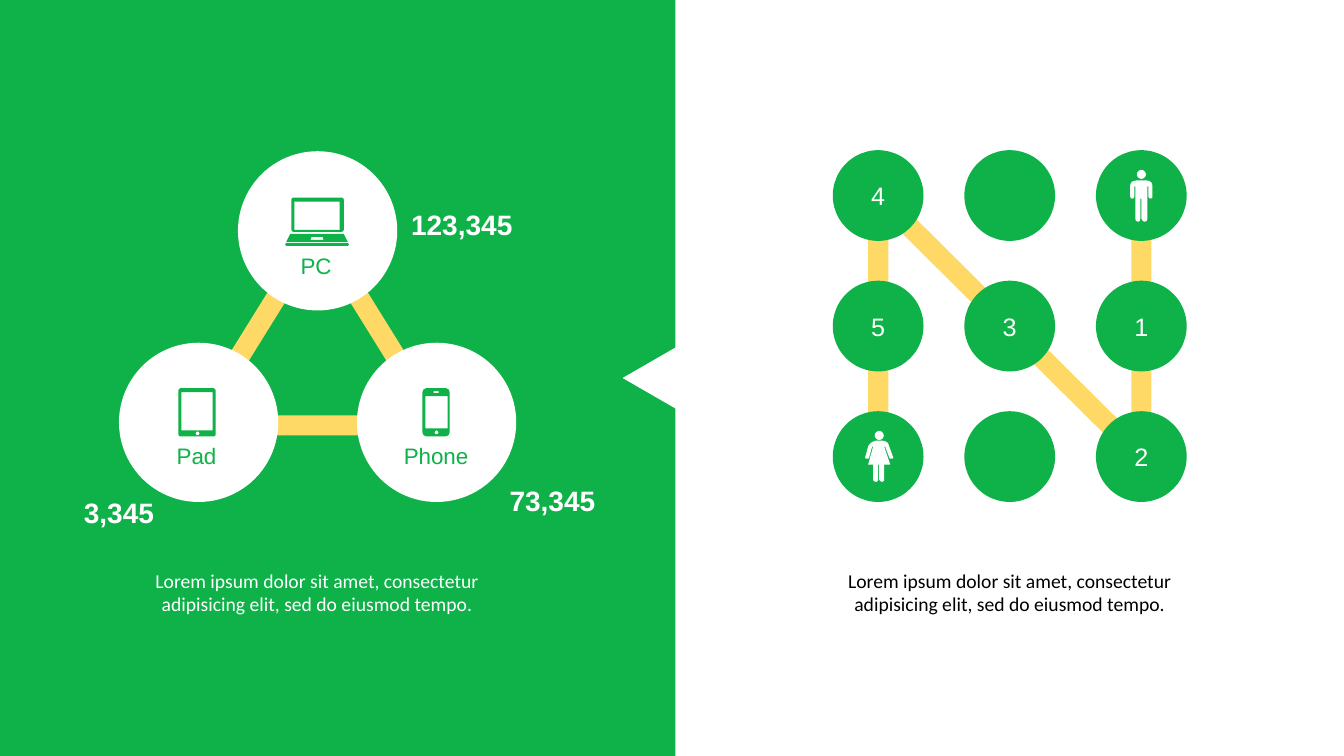
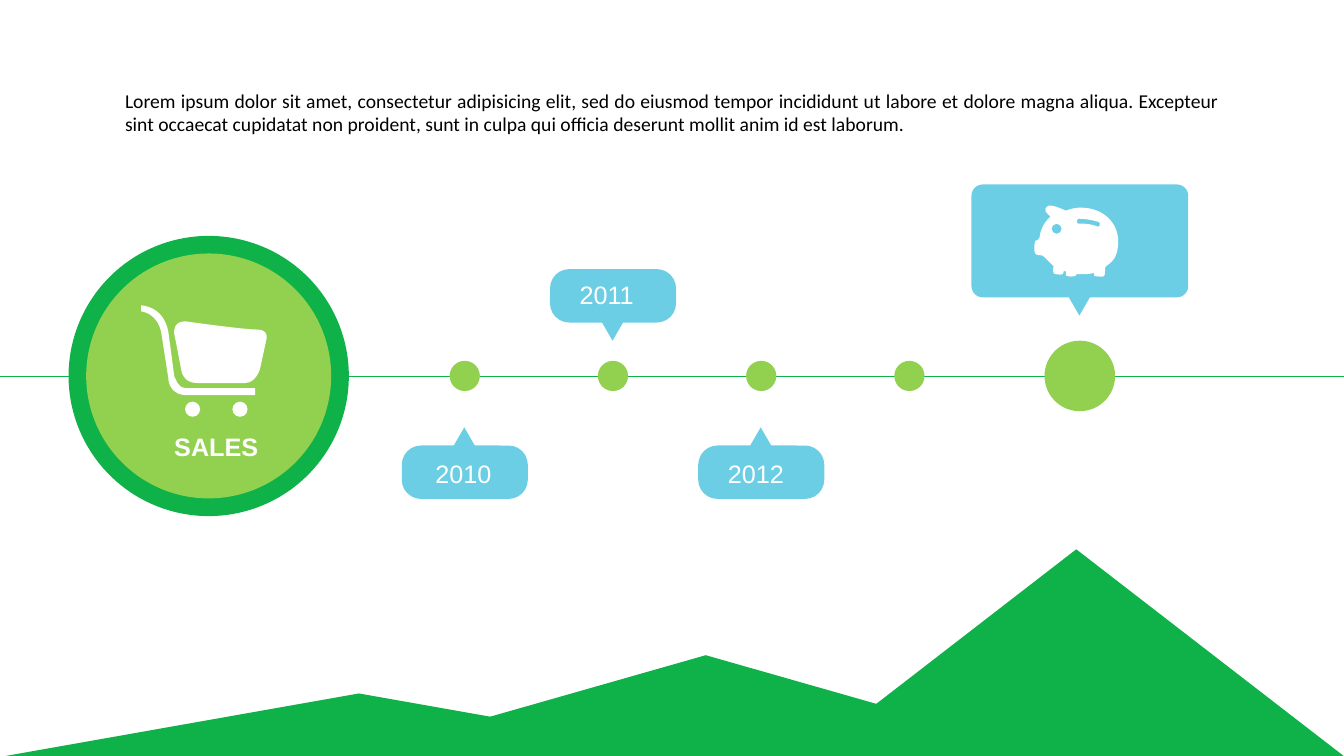
from itertools import product
from math import atan2, degrees, hypot

from lxml import etree
from pptx import Presentation
from pptx.dml.color import RGBColor
from pptx.enum.shapes import MSO_CONNECTOR, MSO_SHAPE as Preset
from pptx.enum.text import MSO_ANCHOR as Anchor, MSO_AUTO_SIZE as AutoSize, PP_ALIGN as Align
from pptx.oxml.ns import qn
from pptx.util import Inches, Pt

COLORS = {
    "green": "0EB248",
    "lime": "92D050",
    "yellow": "FFD966",
    "sky": "6CCEE5",
    "white": "FFFFFF",
    "black": "000000",
}
WIDTH, HEIGHT = 13.33, 7.5

# Outlines in inches: a pair is a corner, six numbers are a cubic curve.
MAN = [
    (11.43, 1.84), (11.43, 1.79, 11.37, 1.79, 11.37, 1.79), (11.27, 1.79),
    (11.21, 1.79, 11.21, 1.84, 11.21, 1.84), (11.21, 1.95),
    (11.21, 1.97, 11.22, 1.97, 11.23, 1.97), (11.24, 1.97, 11.25, 1.97, 11.25, 1.95),
    (11.25, 1.85), (11.26, 1.85), (11.26, 2.17),
    (11.26, 2.19, 11.27, 2.2, 11.29, 2.2), (11.3, 2.2, 11.31, 2.19, 11.31, 2.17),
    (11.31, 1.97), (11.32, 1.97), (11.32, 2.17),
    (11.33, 2.19, 11.34, 2.2, 11.35, 2.2), (11.37, 2.2, 11.38, 2.19, 11.38, 2.17),
    (11.38, 1.85), (11.39, 1.85), (11.39, 1.95),
    (11.39, 1.96, 11.4, 1.97, 11.41, 1.97), (11.43, 1.97, 11.43, 1.96, 11.43, 1.95),
]
WOMAN = [
    (8.82, 4.43), (8.82, 4.37, 8.74, 4.37, 8.74, 4.37), (8.69, 4.37),
    (8.63, 4.38, 8.61, 4.43, 8.61, 4.43), (8.58, 4.54),
    (8.58, 4.55, 8.59, 4.55, 8.59, 4.55), (8.61, 4.55, 8.62, 4.55, 8.62, 4.54),
    (8.65, 4.43), (8.66, 4.43), (8.61, 4.61), (8.66, 4.61), (8.66, 4.76),
    (8.66, 4.77, 8.67, 4.78, 8.69, 4.78), (8.7, 4.78, 8.71, 4.77, 8.71, 4.76),
    (8.71, 4.61), (8.72, 4.61), (8.72, 4.76),
    (8.72, 4.77, 8.74, 4.78, 8.75, 4.78), (8.76, 4.78, 8.77, 4.77, 8.77, 4.76),
    (8.77, 4.61), (8.83, 4.61), (8.77, 4.43), (8.78, 4.43), (8.82, 4.54),
    (8.82, 4.55, 8.83, 4.55, 8.84, 4.55), (8.85, 4.55, 8.86, 4.55, 8.86, 4.54),
]
KEYBOARD = [(2.88, 2.32), (3.41, 2.32), (3.45, 2.4), (2.84, 2.4)]
TOUCHPAD = [(3.08, 2.38), (3.09, 2.35), (3.2, 2.35), (3.21, 2.38)]
CART_HANDLE = [
    (1.73, 3.74), (1.67, 3.29), (1.62, 3.03, 1.4, 3.03, 1.4, 3.03), (1.4, 3.09),
    (1.4, 3.09, 1.56, 3.1, 1.6, 3.3), (1.67, 3.75),
    (1.67, 3.81, 1.71, 3.92, 1.85, 3.92), (2.53, 3.92), (2.53, 3.85), (1.85, 3.85),
    (1.75, 3.85, 1.75, 3.75, 1.73, 3.74),
]
CART_BASKET = [
    (2.55, 3.27), (2.42, 3.27, 1.85, 3.19, 1.85, 3.19),
    (1.85, 3.19, 1.71, 3.17, 1.73, 3.32), (1.76, 3.46, 1.8, 3.68, 1.8, 3.68),
    (1.8, 3.68, 1.82, 3.8, 1.95, 3.8), (2.43, 3.8),
    (2.54, 3.8, 2.58, 3.66, 2.58, 3.66), (2.64, 3.38),
    (2.64, 3.38, 2.68, 3.27, 2.55, 3.27),
]
PIG_BODY = [
    (10.97, 2.64), (10.95, 2.65, 10.97, 2.72, 10.95, 2.74),
    (10.94, 2.75, 10.87, 2.74, 10.86, 2.74), (10.84, 2.74, 10.87, 2.7, 10.84, 2.71),
    (10.8, 2.72, 10.77, 2.72, 10.73, 2.72), (10.68, 2.72),
    (10.67, 2.72, 10.68, 2.74, 10.66, 2.74), (10.63, 2.74, 10.61, 2.75, 10.59, 2.74),
    (10.56, 2.74, 10.58, 2.7, 10.57, 2.69), (10.55, 2.69),
    (10.54, 2.69, 10.56, 2.71, 10.54, 2.72), (10.52, 2.73, 10.45, 2.72, 10.45, 2.71),
    (10.43, 2.66, 10.46, 2.64, 10.45, 2.64), (10.42, 2.61, 10.4, 2.59, 10.37, 2.56),
    (10.33, 2.51, 10.31, 2.55, 10.27, 2.52), (10.25, 2.49, 10.26, 2.4, 10.27, 2.39),
    (10.29, 2.37, 10.3, 2.39, 10.31, 2.36), (10.32, 2.28, 10.35, 2.21, 10.42, 2.15),
    (10.39, 2.12, 10.33, 2.08, 10.4, 2.04), (10.45, 2.03, 10.57, 2.09, 10.57, 2.09),
    (10.57, 2.09, 10.64, 2.06, 10.72, 2.06), (10.94, 2.06, 11.09, 2.21, 11.09, 2.39),
    (11.09, 2.5, 11.07, 2.58, 10.97, 2.64),
]
PIG_SLOT = [
    (10.89, 2.2), (10.89, 2.2, 10.79, 2.17, 10.7, 2.17),
    (10.69, 2.17, 10.68, 2.18, 10.68, 2.2), (10.68, 2.21, 10.69, 2.22, 10.7, 2.22),
    (10.7, 2.22, 10.8, 2.21, 10.89, 2.25), (10.9, 2.25, 10.91, 2.24, 10.91, 2.22),
    (10.91, 2.21, 10.9, 2.2, 10.89, 2.2),
]


def rgb(color):
    return RGBColor.from_string(COLORS[color])


def paint(shape, color):
    shape.fill.solid()
    shape.fill.fore_color.rgb = rgb(color)
    shape.line.fill.background()
    shape.shadow.inherit = False
    return shape


def add_preset(shapes, preset, left, top, width, height, color, rotation=0, rounding=None):
    shape = shapes.add_shape(preset, Inches(left), Inches(top), Inches(width), Inches(height))
    shape.rotation = rotation
    if rounding is not None:
        shape.adjustments[0] = rounding
    return paint(shape, color)


def add_disc(shapes, center_x, center_y, diameter, color):
    radius = diameter / 2
    return add_preset(shapes, Preset.OVAL, center_x - radius, center_y - radius,
                      diameter, diameter, color)


def add_bar(shapes, start, end):
    """Add a yellow bar whose middle line runs from start to end."""
    run, rise = end[0] - start[0], end[1] - start[1]
    length, thickness = hypot(run, rise), 0.2
    return add_preset(shapes, Preset.RECTANGLE, (start[0] + end[0] - length) / 2,
                      (start[1] + end[1] - thickness) / 2, length, thickness,
                      "yellow", rotation=degrees(atan2(rise, run)))


def box_outline(left, top, width, height, radius=0):
    right, bottom = left + width, top + height
    if not radius:
        return [(left, top), (right, top), (right, bottom), (left, bottom)]
    near = 0.45 * radius
    return [
        (left + radius, top), (right - radius, top),
        (right - near, top, right, top + near, right, top + radius), (right, bottom - radius),
        (right, bottom - near, right - near, bottom, right - radius, bottom),
        (left + radius, bottom),
        (left + near, bottom, left, bottom - near, left, bottom - radius), (left, top + radius),
        (left, top + near, left + near, top, left + radius, top),
    ]


def disc_outline(center_x, center_y, radius):
    return box_outline(center_x - radius, center_y - radius, 2 * radius, 2 * radius, radius)


def add_outline(shapes, color, *outlines):
    """Add one freeform; an outline inside another is a hole."""
    builder = shapes.build_freeform(*map(Inches, outlines[0][0]))
    for number, (start, *segments) in enumerate(outlines):
        if number:
            builder.move_to(*map(Inches, start))
        builder.add_line_segments([(Inches(segment[i]), Inches(segment[i + 1]))
                                   for segment in segments for i in range(0, len(segment), 2)])
    shape = builder.convert_to_shape()
    lines = iter(list(shape._element.iter(qn("a:lnTo"))))
    for segment in (segment for outline in outlines for segment in outline[1:]):
        line = next(lines)
        if len(segment) == 6:
            line.tag = qn("a:cubicBezTo")
            for extra in (next(lines), next(lines)):
                line.append(extra[0])
                extra.getparent().remove(extra)
    return paint(shape, color)


def write_text(shape, text, *, size, color, font="Arial", bold=False,
               align=Align.LEFT, space_after=0):
    paragraph = shape.text_frame.paragraphs[0]
    paragraph.alignment = align
    paragraph.space_after = Pt(space_after)
    run = paragraph.add_run()
    run.text = text
    run.font.size = Pt(size)
    run.font.name = font
    run.font.bold = bold
    run.font.color.rgb = rgb(color)


def add_text(shapes, text, left, top, width, height, wrap=True, margins=(0.1, 0.05), **style):
    box = shapes.add_textbox(Inches(left), Inches(top), Inches(width), Inches(height))
    frame = box.text_frame
    frame.word_wrap = wrap
    frame.auto_size = AutoSize.SHAPE_TO_FIT_TEXT
    frame.margin_left = frame.margin_right = Inches(margins[0])
    frame.margin_top = frame.margin_bottom = Inches(margins[1])
    write_text(box, text, **style)


def add_body_text(shapes, text, left, top, width, color, align):
    add_text(shapes, text, left, top, width, 0.54, margins=(0.08, 0.04), size=14,
             font="Calibri", color=color, align=align, space_after=6)


def add_group(slide):
    return slide.shapes.add_group_shape().shapes


def add_person(slide, outline, head_x, head_y):
    shapes = add_group(slide)
    add_disc(shapes, head_x, head_y, 0.09, "white")
    add_outline(shapes, "white", outline)


def add_callout(slide, center_x, top, width, height, rounding, points_down):
    shapes = add_group(slide)
    add_preset(shapes, Preset.ROUNDED_RECTANGLE, center_x - width / 2, top, width, height,
               "sky", rounding=rounding)
    pointer_top = top + height - 0.26 if points_down else top - 0.18
    add_preset(shapes, Preset.ISOSCELES_TRIANGLE, center_x - 0.26, pointer_top, 0.51, 0.44,
               "sky", rotation=180 if points_down else 0)


def add_device_network(slide):
    shapes = slide.shapes
    pc, pad, phone = (3.15, 2.29), (1.97, 4.19), (4.33, 4.19)
    add_bar(shapes, (pad[0], 4.22), (phone[0], 4.22))
    add_bar(shapes, pc, phone)
    add_bar(shapes, pc, pad)
    for center in (pc, pad, phone):
        add_disc(shapes, *center, 1.58, "white")
    add_outline(shapes, "green", box_outline(4.19, 3.85, 0.27, 0.48, 0.04),
                box_outline(4.3, 3.88, 0.05, 0.02), disc_outline(4.33, 4.29, 0.02),
                box_outline(4.22, 3.93, 0.22, 0.32))
    add_outline(shapes, "green", KEYBOARD, TOUCHPAD, box_outline(2.89, 1.96, 0.52, 0.34, 0.02),
                box_outline(2.92, 2, 0.45, 0.28), box_outline(2.83, 2.41, 0.63, 0.03, 0.01))
    add_outline(shapes, "green", box_outline(1.77, 3.85, 0.37, 0.48, 0.02),
                disc_outline(1.96, 4.3, 0.02), box_outline(1.8, 3.89, 0.31, 0.38))
    for name, left, top, width in (("PC", 2.88, 2.45, 0.51), ("Pad", 1.65, 4.34, 0.6),
                                   ("Phone", 3.9, 4.34, 0.85)):
        add_text(shapes, name, left, top, width, 0.37, wrap=False, size=16,
                 color="green", align=Align.CENTER)
    for count, left, top, width in (("123,345", 3.97, 2.01, 1.22), ("73,345", 4.95, 4.75, 1.06),
                                    ("3,345", 0.73, 4.87, 0.9)):
        add_text(shapes, count, left, top, width, 0.44, wrap=False, size=20, bold=True,
                 color="white", align=Align.CENTER)


def add_number_grid(slide):
    columns, rows = ([start + span * i / 2 for i in range(3)]
                     for start, span in ((8.71, 2.61), (1.94, 2.59)))
    for column in (2, 0):
        add_bar(slide.shapes, (columns[column], rows[0]), (columns[column], rows[2]))
    add_bar(slide.shapes, (columns[0], rows[0]), (columns[2], rows[2]))
    labels = ("4", "", "", "5", "3", "1", "", "", "2")
    for (y, x), label in zip(product(rows, columns), labels):
        disc = add_disc(slide.shapes, x, y, 0.9, "green")
        if label:
            disc.text_frame.vertical_anchor = Anchor.MIDDLE
            write_text(disc, label, size=18, color="white", align=Align.CENTER)
    add_person(slide, MAN, 11.32, 1.73)
    add_person(slide, WOMAN, 8.72, 4.32)


def build_devices_slide(slide):
    slide.background.fill.solid()
    slide.background.fill.fore_color.rgb = rgb("green")
    add_preset(slide.shapes, Preset.RECTANGLE, 6.7, 0, WIDTH - 6.7, HEIGHT, "white")
    add_preset(slide.shapes, Preset.ISOSCELES_TRIANGLE, 6.08, 3.13, 1.43, 1.24, "white",
               rotation=270)
    add_device_network(slide)
    add_number_grid(slide)
    for left, color in ((8.29, "black"), (1.42, "white")):
        add_body_text(slide.shapes, "Lorem ipsum dolor sit amet, consectetur adipisicing elit, "
                      "sed do eiusmod tempo.", left, 5.6, 3.45, color, Align.CENTER)


def add_sales_badge(slide, center_y):
    badge = add_group(slide)
    add_disc(badge, 2.07, center_y, 2.78, "green")
    add_disc(badge, 2.07, center_y, 2.43, "lime")
    cart = add_group(slide)
    for wheel_x in (2.38, 1.91):
        add_disc(cart, wheel_x, 4.06, 0.15, "white")
    add_outline(cart, "white", CART_HANDLE)
    add_outline(cart, "white", CART_BASKET)
    add_text(slide.shapes, "SALES", 1.63, 4.23, 1.17, 0.4, size=18, color="white", bold=True)


def build_timeline_slide(slide):
    shapes, axis_y = slide.shapes, 3.73
    axis = shapes.add_connector(MSO_CONNECTOR.STRAIGHT, 0, Inches(axis_y),
                                Inches(WIDTH), Inches(axis_y))
    axis.line.color.rgb = rgb("green")
    axis.line.width = Pt(0.5)
    etree.SubElement(axis._element.spPr, qn("a:effectLst"))
    add_sales_badge(slide, axis_y)
    dots = [4.61 + 1.47 * i for i in range(4)]
    for x in dots:
        add_disc(shapes, x, axis_y, 0.3, "lime")
    add_disc(shapes, 10.71, axis_y, 0.7, "lime")
    years = (("2010", 4.42, 4.22, 4.5), ("2011", 2.67, 5.65, 2.72), ("2012", 4.42, 7.12, 4.5))
    for x, (year, top, label_left, label_top) in zip(dots, years):
        add_callout(slide, x, top, 1.25, 0.53, 0.36, points_down=top < axis_y)
        add_text(shapes, year, label_left, label_top, 0.89, 0.4, size=18, color="white")
    add_callout(slide, 10.71, 1.83, 2.15, 1.12, 0.1, points_down=True)
    add_outline(shapes, "white", PIG_BODY, disc_outline(10.48, 2.27, 0.05), PIG_SLOT)
    add_body_text(shapes, "Lorem ipsum dolor sit amet, consectetur adipisicing elit, sed do "
                  "eiusmod tempor incididunt ut labore et dolore magna aliqua. Excepteur sint "
                  "occaecat cupidatat non proident, sunt in culpa qui officia deserunt mollit "
                  "anim id est laborum.", 1.16, 0.84, 11.02, "black", Align.JUSTIFY)
    mountains = add_group(slide)
    for left, width, height in ((0, 7.12, 0.63), (3.46, 7.08, 1.01), (8.01, 5.33, 2.06)):
        add_preset(mountains, Preset.ISOSCELES_TRIANGLE, left, 7.51 - height, width, height, "green")


def main():
    presentation = Presentation()
    presentation.slide_width, presentation.slide_height = Inches(WIDTH), Inches(HEIGHT)
    for build in (build_devices_slide, build_timeline_slide):
        build(presentation.slides.add_slide(presentation.slide_layouts[6]))
    presentation.save("out.pptx")


if __name__ == "__main__":
    main()
